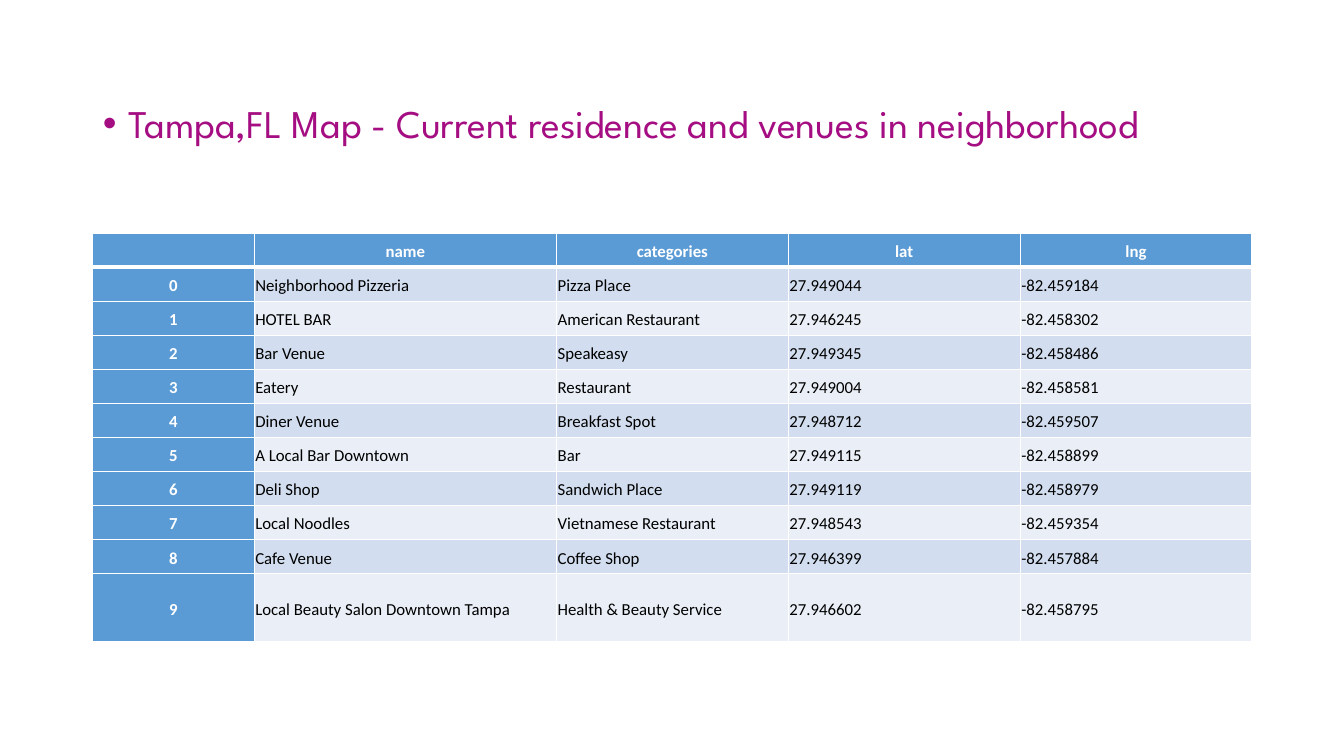
from lxml.etree import SubElement
from pptx import Presentation
from pptx.dml.color import RGBColor
from pptx.enum.text import MSO_ANCHOR, MSO_AUTO_SIZE, PP_ALIGN
from pptx.oxml.ns import qn
from pptx.util import Cm, Pt

COLORS = {
    "heading": "A50E82",
    "header": "5B9BD5",
    "odd_row": "D2DEEF",
    "even_row": "EAEFF7",
    "light": "FFFFFF",
    "dark": "000000",
}
COLUMN_SHARES = [16, 30, 23, 23, 23]
ROW_SHARES = [1] * 10 + [2]
VENUES = [
    ("", "name", "categories", "lat", "lng"),
    ("0", "Neighborhood Pizzeria", "Pizza Place", "27.949044", "-82.459184"),
    ("1", "HOTEL BAR", "American Restaurant", "27.946245", "-82.458302"),
    ("2", "Bar Venue", "Speakeasy", "27.949345", "-82.458486"),
    ("3", "Eatery", "Restaurant", "27.949004", "-82.458581"),
    ("4", "Diner Venue", "Breakfast Spot", "27.948712", "-82.459507"),
    ("5", "A Local Bar Downtown", "Bar", "27.949115", "-82.458899"),
    ("6", "Deli Shop", "Sandwich Place", "27.949119", "-82.458979"),
    ("7", "Local Noodles", "Vietnamese Restaurant", "27.948543", "-82.459354"),
    ("8", "Cafe Venue", "Coffee Shop", "27.946399", "-82.457884"),
    ("9", "Local Beauty Salon Downtown Tampa", "Health & Beauty Service",
     "27.946602", "-82.458795"),
]


def add_text(paragraph, text, font, size, color, bold=False):
    run = paragraph.add_run()
    run.text = text
    run.font.name = font
    run.font.size = Pt(size)
    run.font.bold = bold
    run.font.color.rgb = RGBColor.from_string(COLORS[color])


def add_heading(slide, left, top, width, height):
    heading = slide.placeholders[1]
    heading.left, heading.top = Cm(left), Cm(top)
    heading.width, heading.height = Cm(width), Cm(height)
    frame = heading.text_frame
    frame.auto_size = MSO_AUTO_SIZE.NONE
    frame.vertical_anchor = MSO_ANCHOR.TOP
    line = frame.paragraphs[0]
    line.line_spacing = 0.9
    line.space_before = Pt(10)
    properties = line._p.get_or_add_pPr()
    properties.set("marL", str(Cm(0.64)))
    properties.set("indent", str(Cm(-0.64)))
    SubElement(properties, qn("a:buFont"), typeface="Arial")
    SubElement(properties, qn("a:buChar"), char="\u2022")
    add_text(line, "Tampa,FL Map - Current residence and venues in neighborhood",
             "League Spartan", 28, "heading")


def add_borders(cell, widths):
    properties = cell._tc.get_or_add_tcPr()
    for position, (side, width) in enumerate(widths.items()):
        border = SubElement(properties, qn(f"a:ln{side}"), w=str(Pt(width)))
        fill = SubElement(border, qn("a:solidFill"))
        SubElement(fill, qn("a:srgbClr"), val=COLORS["light"])
        properties.insert(position, border)


def format_cell(cell, text, row, column):
    is_header = row == 0 or column == 0
    band = "odd_row" if row % 2 else "even_row"
    cell.fill.solid()
    cell.fill.fore_color.rgb = RGBColor.from_string(
        COLORS["header" if is_header else band])
    add_borders(cell, {"L": 1, "R": 1, "T": 3 if row == 1 else 1,
                       "B": 3 if row == 0 else 1})
    cell.margin_left = cell.margin_right = Cm(0.03)
    cell.margin_top = cell.margin_bottom = Cm(0.03)
    cell.vertical_anchor = MSO_ANCHOR.MIDDLE
    if text:
        line = cell.text_frame.paragraphs[0]
        line.alignment = PP_ALIGN.CENTER if is_header else PP_ALIGN.LEFT
        line.line_spacing = 1.15
        add_text(line, text, "Calibri", 12,
                 "light" if is_header else "dark", is_header)


def add_venues(slide, left, top, width, height):
    venues = slide.shapes.add_table(
        len(VENUES), len(COLUMN_SHARES),
        Cm(left), Cm(top), Cm(width), Cm(height)).table
    for column, share in zip(venues.columns, COLUMN_SHARES):
        column.width = Cm(width * share / sum(COLUMN_SHARES))
    for row, share in zip(venues.rows, ROW_SHARES):
        row.height = Cm(height * share / sum(ROW_SHARES))
    for row, venue in enumerate(VENUES):
        for column, text in enumerate(venue):
            format_cell(venues.cell(row, column), text, row, column)


def build_venue_slide(presentation):
    slide = presentation.slides.add_slide(presentation.slide_layouts[1])
    unused_title = slide.shapes.title.element
    unused_title.getparent().remove(unused_title)
    add_heading(slide, 2.34, 2.51, 29.21, 14.66)
    add_venues(slide, 2.34, 5.87, 29.21, 10.31)


presentation = Presentation()
presentation.slide_width = Cm(33.87)
presentation.slide_height = Cm(19.05)
build_venue_slide(presentation)
presentation.save("out.pptx")
